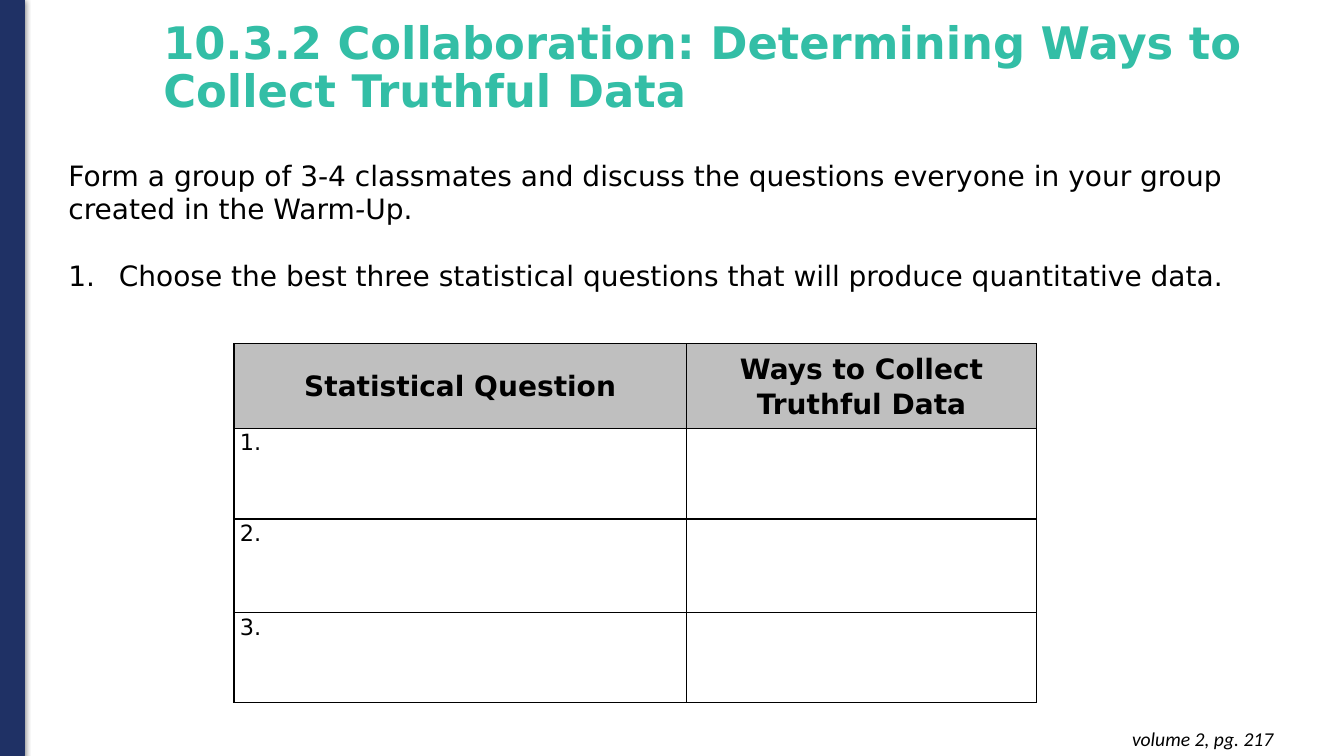
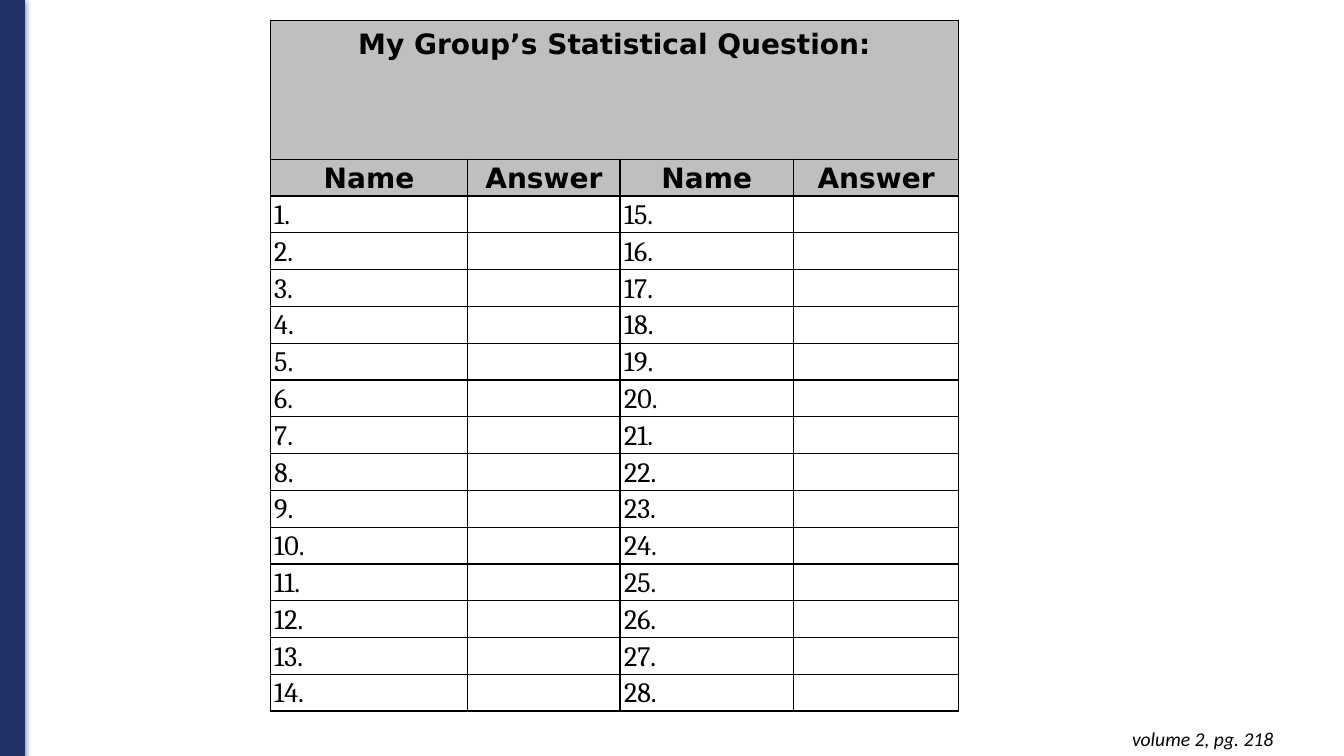
from lxml.etree import SubElement
from pptx import Presentation
from pptx.dml.color import RGBColor
from pptx.enum.shapes import MSO_SHAPE
from pptx.enum.text import MSO_ANCHOR, MSO_AUTO_SIZE, PP_ALIGN
from pptx.oxml import parse_xml
from pptx.oxml.ns import nsdecls, qn
from pptx.util import Inches, Pt

rgb = RGBColor.from_string
BLACK, NAVY, TEAL, GRAY = "000000", "1F3165", "33BEA6", "BFBFBF"
SANS, SERIF, NOTE = "DejaVu Sans", "Cambria", "Calibri"


def style(par, size, name=SANS, color=BLACK, bold=False, italic=False, start=0):
    """Set the font; a start above 0 also numbers the paragraph from there."""
    if start:
        props = par._p.get_or_add_pPr()
        props.set("marL", str(Inches(0.5)))
        props.set("indent", str(Inches(-0.5)))
        SubElement(props, qn("a:buFont"), typeface="+mj-lt")
        SubElement(props, qn("a:buAutoNum"), type="arabicPeriod", startAt=str(start))
    font = par.font
    font.size, font.name = Pt(size), name
    font.bold, font.italic = bold, italic
    font.color.rgb = rgb(color)


def grid(slide, left, top, cols, rows, heads, side):
    """Add a ruled table whose first rows, heads in number, are gray headers."""
    frame = slide.shapes.add_table(len(rows), len(cols), Inches(left), Inches(top),
                                   Inches(sum(cols)), Inches(sum(rows)))
    table = frame.table
    table.horz_banding = False
    for col, width in zip(table.columns, cols):
        col.width = Inches(width)
    for r, (row, height) in enumerate(zip(table.rows, rows)):
        row.height = Inches(height)
        for cell in row.cells:
            cell.margin_left = cell.margin_right = Inches(side)
            cell.margin_top = cell.margin_bottom = 0
            props = cell._tc.get_or_add_tcPr()
            for edge in "LRTB":
                props.append(parse_xml(
                    f'<a:ln{edge} {nsdecls("a")} w="12700"><a:solidFill>'
                    f'<a:srgbClr val="{BLACK}"/></a:solidFill></a:ln{edge}>'))
            par = cell.text_frame.paragraphs[0]
            par.line_spacing = 1.07
            if r < heads:
                cell.fill.solid()
                cell.fill.fore_color.rgb = rgb(GRAY)
                cell.vertical_anchor = MSO_ANCHOR.MIDDLE
                par.alignment = PP_ALIGN.CENTER
                style(par, 20, bold=True)
            else:
                cell.fill.background()
    return table


deck = Presentation()
deck.slide_width, deck.slide_height = Inches(13.33), Inches(7.5)

# Slide 1: the group task
task = deck.slides.add_slide(deck.slide_layouts[5])
title = task.shapes.title
title.left, title.top = Inches(1.52), Inches(-0.04)
title.width, title.height = Inches(11.76), Inches(1.45)
text = title.text_frame
text.text = "10.3.2 Collaboration: Determining Ways to Collect Truthful Data"
text.word_wrap = True
text.auto_size = MSO_AUTO_SIZE.NONE
text.vertical_anchor = MSO_ANCHOR.MIDDLE
par = text.paragraphs[0]
par.alignment = PP_ALIGN.LEFT
par.line_spacing = 0.9
style(par, 32, color=TEAL, bold=True)

body = task.shapes.add_textbox(Inches(0.58), Inches(1.52), Inches(11.68), Inches(1.45))
text = body.text_frame
text.word_wrap = True
text.auto_size = MSO_AUTO_SIZE.SHAPE_TO_FIT_TEXT
intro = text.paragraphs[0]
style(intro, 20)
for part in ("Form a group of 3-4 classmates and discuss the questions everyone "
             "in your group created in the Warm", "-", "Up."):
    run = intro.add_run()
    run.text = part
    if part == "-":
        run.font.italic = True
step = text.add_paragraph()
step.text = "Choose the best three statistical questions that will produce quantitative data."
step.space_before = Pt(23.3)
style(step, 20, start=1)

table = grid(task, 2.32, 3.41, [4.49, 3.47], [0.84, 0.9, 0.93, 0.89], 1, 0.06)
for c, head in enumerate(("Statistical Question", "Ways to Collect Truthful Data")):
    table.cell(0, c).text_frame.paragraphs[0].text = head
for r in range(1, 4):
    par = table.cell(r, 0).text_frame.paragraphs[0]
    par.text = "\N{NO-BREAK SPACE}"  # an empty answer line still shows its number
    style(par, 16, start=r)

# Slide 2: the answer sheet
sheet = deck.slides.add_slide(deck.slide_layouts[6])
COUNT = 14
HEAD = 1.38
HIGH = (6.86 - HEAD) / (COUNT + 1)
table = grid(sheet, 2.68, 0.2, [1.96, 1.51, 1.72, 1.64],
             [HEAD] + [HIGH] * (COUNT + 1), 2, 0.04)
top = table.cell(0, 0)
top.merge(table.cell(0, 3))
top.vertical_anchor = MSO_ANCHOR.TOP
top.margin_top = Inches(0.06)
top.text_frame.paragraphs[0].text = "My Group’s Statistical Question:"
for c, head in enumerate(("Name", "Answer") * 2):
    table.cell(1, c).text_frame.paragraphs[0].text = head
for i in range(2 * COUNT):
    cell = table.cell(2 + i % COUNT, i // COUNT * 2)
    cell.vertical_anchor = MSO_ANCHOR.MIDDLE
    par = cell.text_frame.paragraphs[0]
    par.text = f"{i + 1}."
    style(par, 20, SERIF)

# Side band and page note on both slides
for slide, page in ((task, 217), (sheet, 218)):
    band = slide.shapes.add_shape(MSO_SHAPE.RECTANGLE, 0, Inches(-0.01),
                                  Inches(0.24), Inches(7.51))
    band.fill.solid()
    band.fill.fore_color.rgb = rgb(NAVY)
    band.line.color.rgb = rgb(NAVY)
    band.line.width = Pt(0.75)
    band.shadow.inherit = False
    glow = band._element.spPr.find(qn("a:effectLst"))
    glow.append(parse_xml(
        f'<a:outerShdw {nsdecls("a")} blurRad="{Pt(4.5)}" dist="{Pt(1.5)}" dir="5400000">'
        f'<a:srgbClr val="{BLACK}"><a:alpha val="50000"/></a:srgbClr></a:outerShdw>'))

    note = slide.shapes.add_textbox(Inches(7.99), Inches(7.11), Inches(4.74), Inches(0.44))
    text = note.text_frame
    text.word_wrap = True
    text.auto_size = MSO_AUTO_SIZE.SHAPE_TO_FIT_TEXT
    text.margin_top = text.margin_bottom = Inches(0.1)
    par = text.paragraphs[0]
    par.text = f"volume 2, pg. {page}"
    par.alignment = PP_ALIGN.RIGHT
    style(par, 14, NOTE, italic=True)

deck.save("out.pptx")
